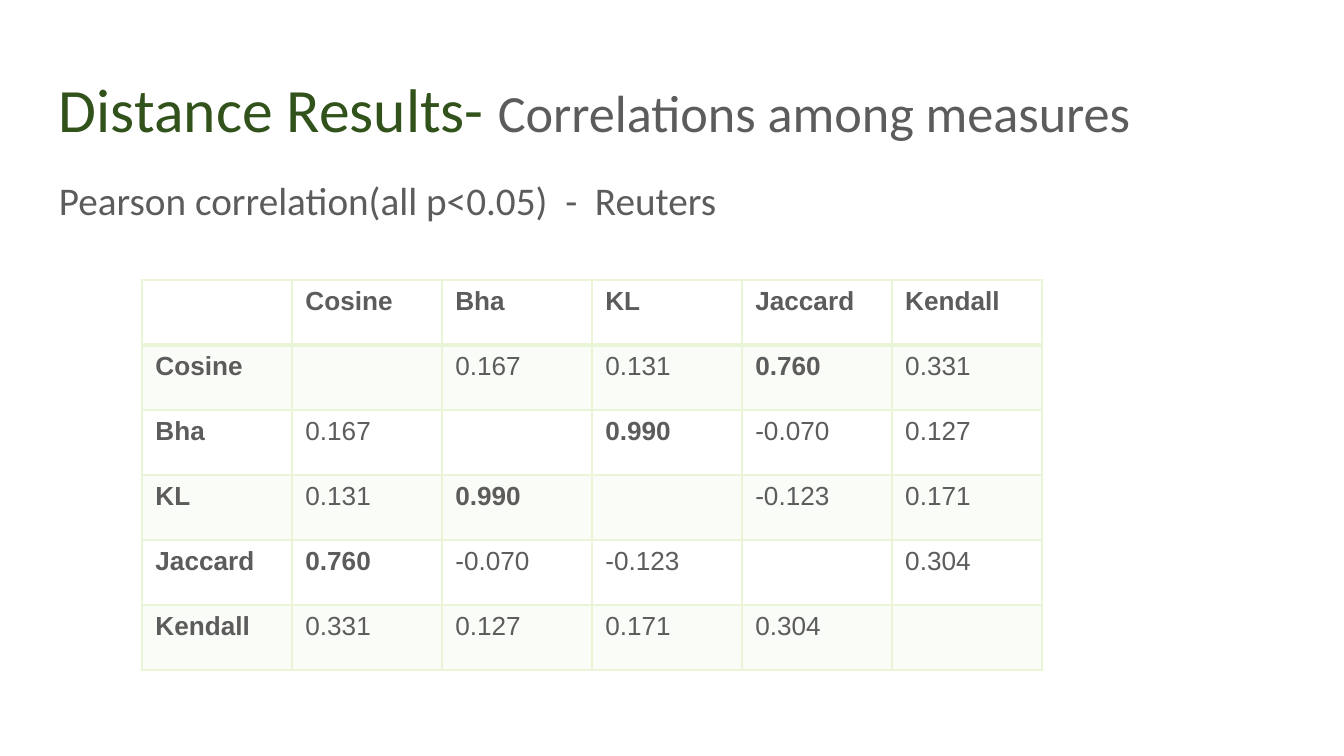
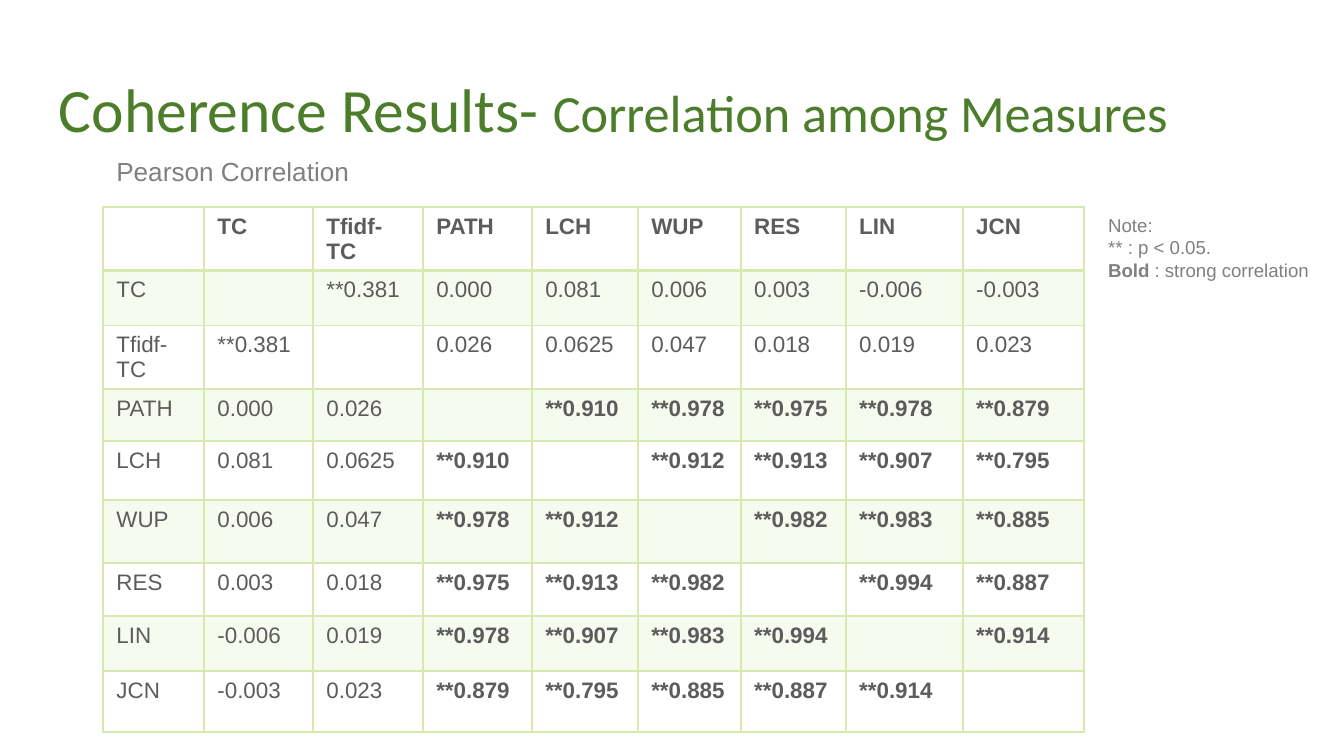
from lxml import etree
from pptx import Presentation
from pptx.dml.color import RGBColor
from pptx.enum.text import MSO_ANCHOR as ANCHOR, MSO_AUTO_SIZE as AUTO, PP_ALIGN as ALIGN
from pptx.oxml.ns import qn
from pptx.util import Emu, Pt

DARK_GREEN = RGBColor(0x31, 0x52, 0x1B)
GREEN = RGBColor(0x4C, 0x7D, 0x2A)
PALE = RGBColor(0xEA, 0xF4, 0xD7)
LIME = RGBColor(0xD6, 0xEA, 0xAF)
TEXT = RGBColor(0x5C, 0x5C, 0x5C)
GRAY = RGBColor(0x80, 0x80, 0x80)

DISTANCE = {
    "title": [("Distance Results- ", 33, DARK_GREEN), ("Correlations among measures", 28, TEXT)],
    "labels": ["Cosine", "Bha", "KL", "Jaccard", "Kendall"],
    "upper": [
        ["0.167", "0.131", "0.760", "0.331"],
        ["0.990", "-0.070", "0.127"],
        ["-0.123", "0.171"],
        ["0.304"],
    ],
    "at": (142, 280),
    "cols": [150] * 6,
    "rows": [65] * 6,
    "size": 14,
    "color": PALE,
    "bold_labels": True,
}
COHERENCE = {
    "title": [("Coherence Results- ", 33, GREEN), ("Correlation among Measures", 28, GREEN)],
    "labels": ["TC", "Tfidf-TC", "PATH", "LCH", "WUP", "RES", "LIN", "JCN"],
    "upper": [
        ["**0.381", "0.000", "0.081", "0.006", "0.003", "-0.006", "-0.003"],
        ["0.026", "0.0625", "0.047", "0.018", "0.019", "0.023"],
        ["**0.910", "**0.978", "**0.975", "**0.978", "**0.879"],
        ["**0.912", "**0.913", "**0.907", "**0.795"],
        ["**0.982", "**0.983", "**0.885"],
        ["**0.994", "**0.887"],
        ["**0.914"],
    ],
    "at": (103, 207),
    "cols": [101, 109, 110, 109, 106, 103, 105, 117, 121],
    "rows": [46, 55, 52, 52, 59, 63, 53, 55, 61],
    "size": 12,
    "color": LIME,
    "bold_labels": False,
}
SUBTITLE = "Pearson correlation(all p<0.05)  -  Reuters"
CAPTION = "Pearson Correlation"
NOTE = [
    [("Note:", False)],
    [("** : p < 0.05.", False)],
    [("Bold ", True), (": strong correlation", False)],
]
STRONG = 0.7


def px(n):
    return Emu(round(n * 914400 / 134.4))


def add_run(p, text, size, color, font="Arial", bold=False):
    r = p.add_run()
    r.text = text
    r.font.name, r.font.size, r.font.bold = font, Pt(size), bold
    r.font.color.rgb = color


def set_insets(tf, inset):
    tf.margin_left = tf.margin_right = tf.margin_top = tf.margin_bottom = px(inset)
    tf.vertical_anchor = ANCHOR.TOP


def add_text(s, box, paragraphs, size, wrap=True):
    tf = s.shapes.add_textbox(*map(px, box)).text_frame
    tf.word_wrap = wrap
    tf.auto_size = AUTO.SHAPE_TO_FIT_TEXT
    for i, runs in enumerate(paragraphs):
        p = tf.add_paragraph() if i else tf.paragraphs[0]
        for text, bold in runs:
            add_run(p, text, size, GRAY, bold=bold)


def add_title(s, runs):
    sp = s.shapes.title
    sp.left, sp.top, sp.width, sp.height = map(px, (46, 66, 1252, 85))
    tf = sp.text_frame
    set_insets(tf, 13)
    tf.auto_size = AUTO.NONE
    p = tf.paragraphs[0]
    p.alignment, p.line_spacing = ALIGN.LEFT, 0.9
    for text, size, color in runs:
        add_run(p, text, size, color, "Calibri")


def add_subtitle(s, text):
    tf = s.shapes.add_textbox(*map(px, (46, 169, 1252, 503))).text_frame
    set_insets(tf, 13)
    tf.word_wrap = True
    p = tf.paragraphs[0]
    p.line_spacing = 0.9
    add_run(p, text, 21, TEXT, "Calibri")


def symmetric_grid(labels, upper):
    n = len(labels)
    grid = [["", *labels]] + [[label] + [""] * n for label in labels]
    for i, values in enumerate(upper, 1):
        for j, value in enumerate(values, i + 1):
            grid[i][j] = grid[j][i] = value
    return grid


def set_borders(cell, color, top, bottom):
    tcPr = cell._tc.get_or_add_tcPr()
    for side, width in (("L", 1), ("R", 1), ("T", top), ("B", bottom)):
        ln = etree.SubElement(tcPr, qn("a:ln" + side), w=str(Pt(width)))
        fill = etree.SubElement(ln, qn("a:solidFill"))
        etree.SubElement(fill, qn("a:srgbClr"), val=str(color))


def set_fill(cell, color, banded):
    if not banded:
        cell.fill.background()
        return
    cell.fill.solid()
    cell.fill.fore_color.rgb = color
    clr = cell._tc.tcPr.find(qn("a:solidFill")).find(qn("a:srgbClr"))
    etree.SubElement(clr, qn("a:alpha"), val="20000")


def add_matrix(s, data):
    cols, rows = data["cols"], data["rows"]
    box = (*data["at"], sum(cols), sum(rows))
    table = s.shapes.add_table(len(rows), len(cols), *map(px, box)).table
    table.first_row = table.horz_banding = False
    for col, width in zip(table.columns, cols):
        col.width = px(width)
    for row, height in zip(table.rows, rows):
        row.height = px(height)
    for i, values in enumerate(symmetric_grid(data["labels"], data["upper"])):
        for j, text in enumerate(values):
            cell = table.cell(i, j)
            set_borders(cell, data["color"], 2 if i == 1 else 1, 2 if i == 0 else 1)
            set_fill(cell, data["color"], i % 2 == 1)
            p = cell.text_frame.paragraphs[0]
            if not text:
                etree.SubElement(p._p, qn("a:endParaRPr"), sz=str(data["size"] * 100))
                continue
            if i == 0:
                bold = True
            elif j == 0:
                bold = data["bold_labels"]
            else:
                bold = float(text.strip("*")) >= STRONG
            add_run(p, text, data["size"], TEXT, bold=bold)


def add_result_slide(prs, data):
    s = prs.slides.add_slide(prs.slide_layouts[5])
    add_title(s, data["title"])
    add_matrix(s, data)
    return s


def main():
    prs = Presentation()
    prs.slide_width, prs.slide_height = px(1344), px(756)

    s = add_result_slide(prs, DISTANCE)
    add_subtitle(s, SUBTITLE)

    s = add_result_slide(prs, COHERENCE)
    add_text(s, (1095, 207, 417, 82), NOTE, 10)
    add_text(s, (103, 149, 261, 46), [[(CAPTION, False)]], 14, wrap=False)

    prs.save("out.pptx")


if __name__ == "__main__":
    main()
